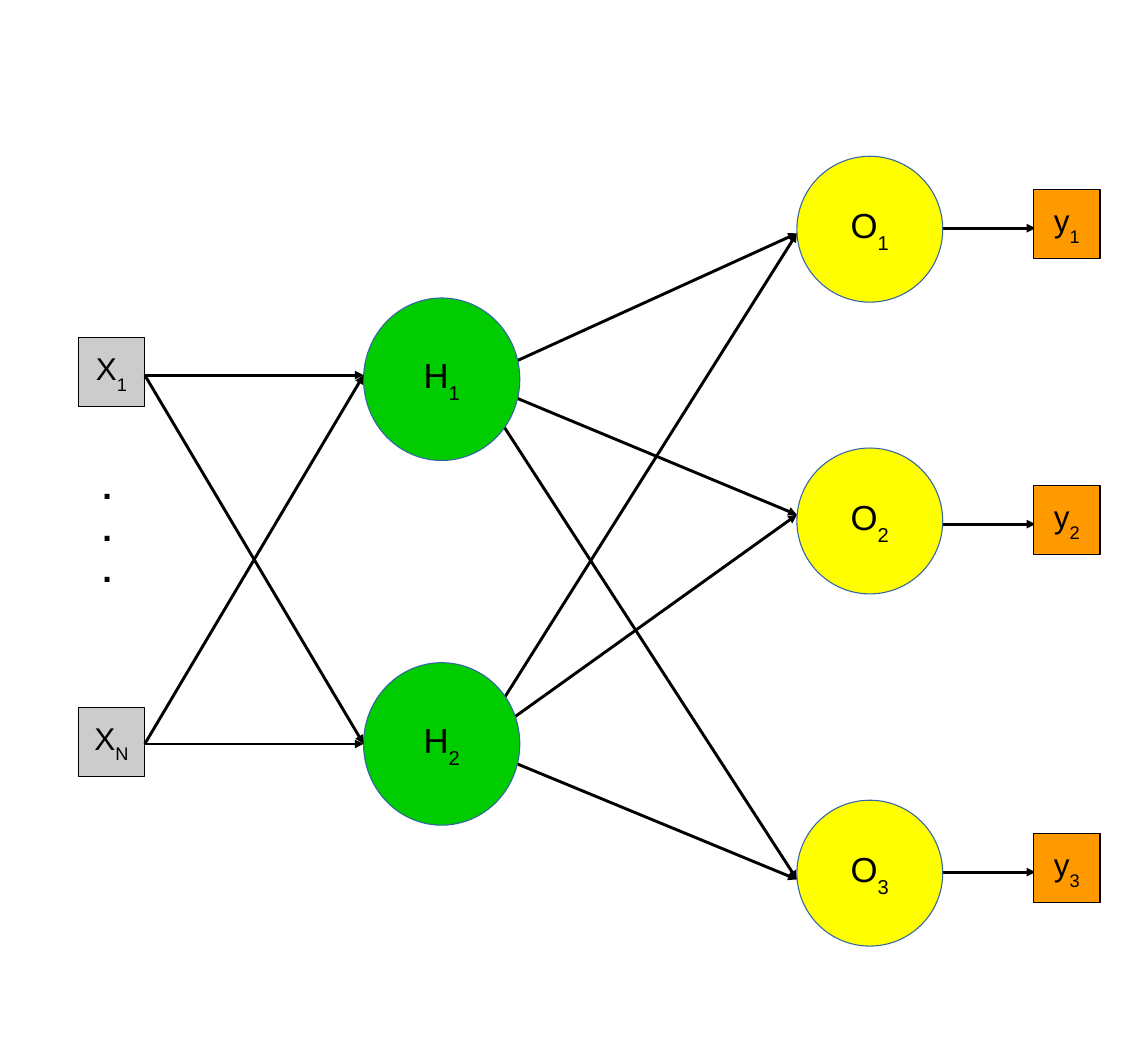
from lxml import etree
from pptx import Presentation
from pptx.dml.color import RGBColor
from pptx.enum.shapes import MSO_CONNECTOR, MSO_SHAPE
from pptx.enum.text import MSO_ANCHOR, PP_ALIGN
from pptx.oxml.ns import qn
from pptx.util import Inches, Pt

RECT, OVAL = MSO_SHAPE.RECTANGLE, MSO_SHAPE.OVAL
STRAIGHT = MSO_CONNECTOR.STRAIGHT
MIDDLE, TOP = MSO_ANCHOR.MIDDLE, MSO_ANCHOR.TOP
CENTER = PP_ALIGN.CENTER
BLACK, GRAY, GREEN, YELLOW, ORANGE, BLUE = (
    "000000", "CCCCCC", "00CC00", "FFFF00", "FF9900", "3465A4")

INPUT_TOPS = {"1": 3.24, "N": 6.79}
HIDDEN_TOPS = {"1": 2.86, "2": 6.36}
OUTPUT_TOPS = {"1": 1.5, "2": 4.3, "3": 7.68}
RESULT_TOPS = {"1": 1.82, "2": 4.66, "3": 8}
INPUT_PORTS = [(1.39, 3.6), (1.39, 7.14)]
HIDDEN_PORTS = [(3.49, 3.6), (3.49, 7.14)]
HIDDEN_SOURCES = [(4.55, 3.65), (4.55, 7.16)]
OUTPUT_PORTS = [(7.65, 2.24), (7.65, 4.94), (7.65, 8.44)]
RESULT_LEVELS = [2.19, 5.03, 8.37]


def paint(color_format, color):
    """Set a colour from a hex string."""
    color_format.rgb = RGBColor.from_string(color)


def write(paragraph, text, size=24, bold=False, subscript=""):
    """Write centred text with an optional subscript."""
    paragraph.alignment = CENTER
    for part, baseline in ((text, 0), (subscript, -33000)):
        if not part:
            continue
        run = paragraph.add_run()
        run.text = part
        run.font.name = "Arial"
        run.font.size = Pt(size)
        run.font.bold = bold
        paint(run.font.color, BLACK)
        if baseline:
            run.font._element.set("baseline", str(baseline))


def add_layer(slide, left, width, height, tops, letter, kind, fill, line, size):
    """Add one column of labelled nodes."""
    for index, top in tops.items():
        node = slide.shapes.add_shape(
            kind, Inches(left), Inches(top), Inches(width), Inches(height))
        node.shadow.inherit = False
        node.fill.solid()
        paint(node.fill.fore_color, fill)
        paint(node.line.color, line)
        node.line.width = 0
        node.text_frame.word_wrap = False
        node.text_frame.vertical_anchor = MIDDLE
        write(node.text_frame.paragraphs[0], letter, size=size, subscript=index)


def add_arrow(slide, start, end):
    """Add a hairline arrow between two points."""
    arrow = slide.shapes.add_connector(
        STRAIGHT, *(Inches(value) for value in (*start, *end)))
    paint(arrow.line.color, BLACK)
    arrow.line.width = 0
    etree.SubElement(arrow.line._get_or_add_ln(), qn("a:tailEnd"), type="triangle")
    etree.SubElement(arrow._element.spPr, qn("a:effectLst"))


def connect_layers(slide, sources, targets):
    """Link every source point to every target point."""
    for source in sources:
        for target in targets:
            add_arrow(slide, source, target)


def add_ellipsis(slide, left, top, width, height):
    """Add the vertical dots between the inputs."""
    dots = slide.shapes.add_textbox(
        Inches(left), Inches(top), Inches(width), Inches(height)).text_frame
    dots.word_wrap = True
    dots.vertical_anchor = TOP
    for row in range(3):
        paragraph = dots.add_paragraph() if row else dots.paragraphs[0]
        write(paragraph, ".", bold=True)


def build_network(slide):
    """Draw the layers of the network and their links."""
    add_layer(slide, 0.75, 0.64, 0.66, INPUT_TOPS, "X", RECT, GRAY, BLACK, 21.7)
    add_ellipsis(slide, 0.73, 4.41, 0.6, 2.2)
    connect_layers(slide, HIDDEN_SOURCES, OUTPUT_PORTS)
    for level in RESULT_LEVELS:
        add_arrow(slide, (9.01, level), (9.94, level))
    add_layer(slide, 9.92, 0.64, 0.66, RESULT_TOPS, "y", RECT, ORANGE, BLACK, 21.7)
    add_layer(slide, 7.65, 1.4, 1.4, OUTPUT_TOPS, "O", OVAL, YELLOW, BLUE, 24)
    add_layer(slide, 3.49, 1.5, 1.56, HIDDEN_TOPS, "H", OVAL, GREEN, BLUE, 24)
    connect_layers(slide, INPUT_PORTS, HIDDEN_PORTS)


def main():
    """Build and save the slide."""
    presentation = Presentation()
    presentation.slide_width = Inches(11.02)
    presentation.slide_height = Inches(10)
    build_network(presentation.slides.add_slide(presentation.slide_layouts[6]))
    presentation.save("out.pptx")


if __name__ == "__main__":
    main()
